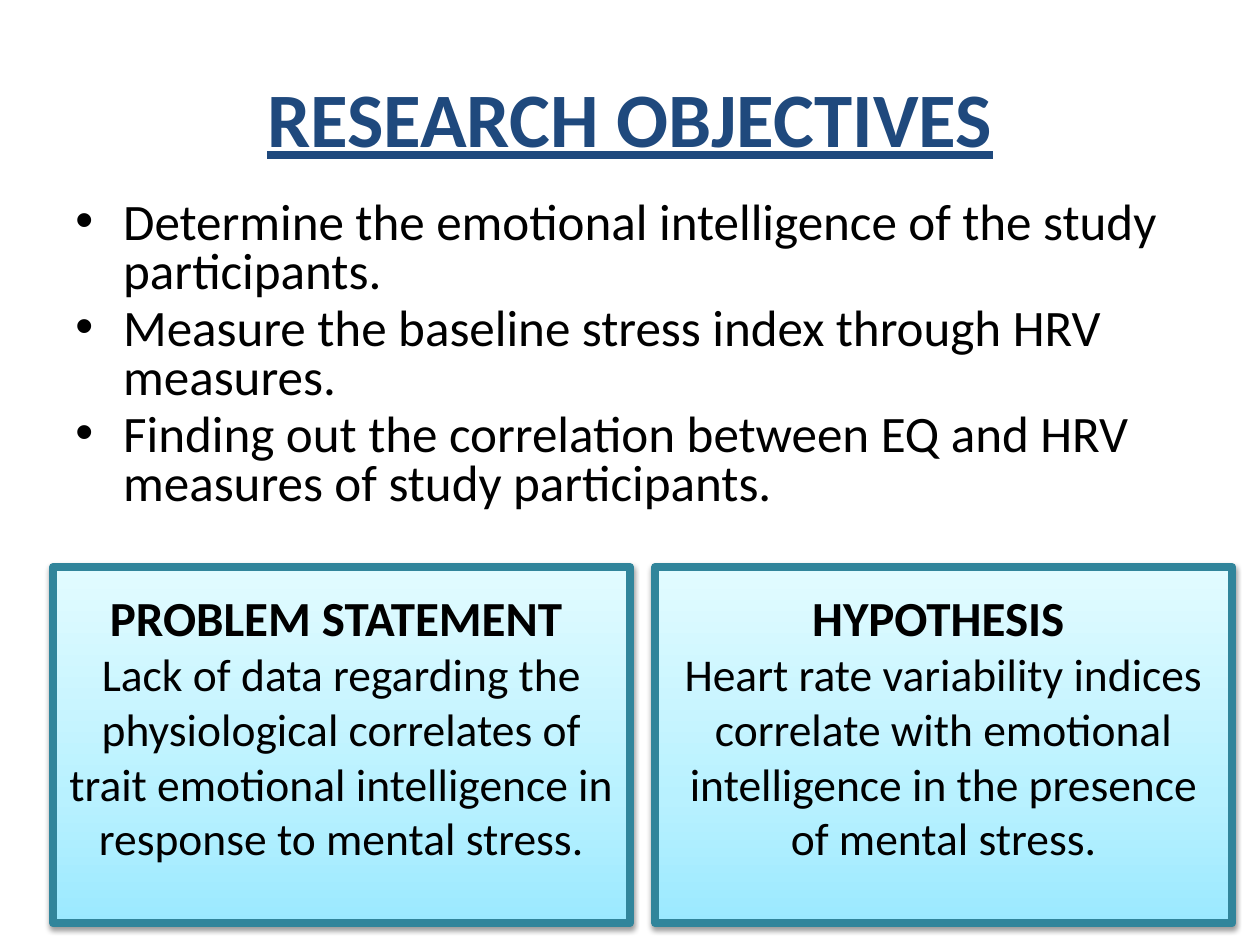
import copy
import lxml.etree
import pptx
import pptx.dml.color
import pptx.enum.shapes
import pptx.enum.text
import pptx.oxml
import pptx.oxml.ns
import pptx.util

look = {
    "font": "Calibri", "title": "1F497D", "ink": "000000", "edge": "31859B",
    "stops": [(0, "9BE9FF"), (0.35, "B8F1FF"), (1, "E2FBFF")],
    "big": 44, "list": 29.2, "head": 28, "body": 26, "line": 4.5,
}
tag = pptx.oxml.ns.qn
mid = pptx.enum.text.PP_ALIGN.CENTER
rgb = pptx.dml.color.RGBColor.from_string


def style(para, size, color, bold=False, under=False):
    for run in para.runs:
        font = run.font
        font.name = look["font"]
        font.size = pptx.util.Pt(size)
        font.color.rgb = rgb(color)
        font.bold = bold
        font.underline = under


deck = pptx.Presentation()
deck.slide_width = pptx.util.Inches(10)
deck.slide_height = pptx.util.Inches(7.5)
wide, high = deck.slide_width, deck.slide_height
slide = deck.slides.add_slide(deck.slide_layouts[5])

title = slide.shapes.title
title.left, title.top = int(wide * 0.05), int(high * 0.04)
title.width, title.height = int(wide * 0.9), int(high / 6)
frame = title.text_frame
frame.text = "RESEARCH OBJECTIVES"
frame.vertical_anchor = pptx.enum.text.MSO_ANCHOR.MIDDLE
frame.paragraphs[0].alignment = mid
style(frame.paragraphs[0], look["big"], look["title"], True, True)

goals = [
    "Determine the emotional intelligence of the study participants.",
    "Measure the baseline stress index through HRV measures.",
    "Finding out the correlation between EQ and HRV measures of study participants.",
]
box = slide.shapes.add_textbox(
    int(wide * 0.05), title.top + title.height, int(wide * 0.93), int(high * 0.35))
frame = box.text_frame
frame.word_wrap = True
frame.text = "\n".join(goals)
dent = pptx.util.Inches(0.38)
for spot, para in enumerate(frame.paragraphs):
    style(para, look["list"], look["ink"])
    para.line_spacing = 0.8
    para.space_before = pptx.util.Pt(4.4 if spot else 0)
    props = para._p.get_or_add_pPr()
    props.set("marL", str(dent))
    props.set("indent", str(-dent))
    lxml.etree.SubElement(props, tag("a:buFont"), typeface="Arial")
    lxml.etree.SubElement(props, tag("a:buChar"), char="•")

cards = [
    ("PROBLEM STATEMENT ",
     "Lack of data regarding the physiological correlates of trait emotional "
     "intelligence in response to mental stress."),
    ("HYPOTHESIS ",
     "Heart rate variability indices correlate with emotional intelligence "
     "in the presence of mental stress."),
]
shade = (
    '<a:effectLst xmlns:a="http://schemas.openxmlformats.org/drawingml/2006/main">'
    '<a:outerShdw blurRad="40000" dist="20000" dir="5400000" rotWithShape="0">'
    '<a:srgbClr val="000000"><a:alpha val="38000"/></a:srgbClr>'
    '</a:outerShdw></a:effectLst>'
)
left, step = 0.042, 0.478
for col, (head, body) in enumerate(cards):
    card = slide.shapes.add_shape(
        pptx.enum.shapes.MSO_SHAPE.RECTANGLE,
        int(wide * (left + col * step)), int(high * 0.6),
        int(wide * 0.458), int(high * 0.377))
    card.fill.gradient()
    card.fill.gradient_angle = 90
    stops = card._element.spPr.find(".//" + tag("a:gsLst"))
    stops.append(copy.deepcopy(stops[0]))
    for stop, (place, color) in zip(card.fill.gradient_stops, look["stops"]):
        stop.position = place
        stop.color.rgb = rgb(color)
    card.line.color.rgb = rgb(look["edge"])
    card.line.width = pptx.util.Pt(look["line"])
    card._element.spPr.append(pptx.oxml.parse_xml(shade))

    frame = card.text_frame
    frame.word_wrap = True
    frame.vertical_anchor = pptx.enum.text.MSO_ANCHOR.MIDDLE
    frame.margin_bottom = pptx.util.Inches(0.35)
    frame.text = head + "\n" + body
    for para, size, bold in zip(
            frame.paragraphs, (look["head"], look["body"]), (True, False)):
        para.alignment = mid
        style(para, size, look["ink"], bold)

deck.save("out.pptx")
